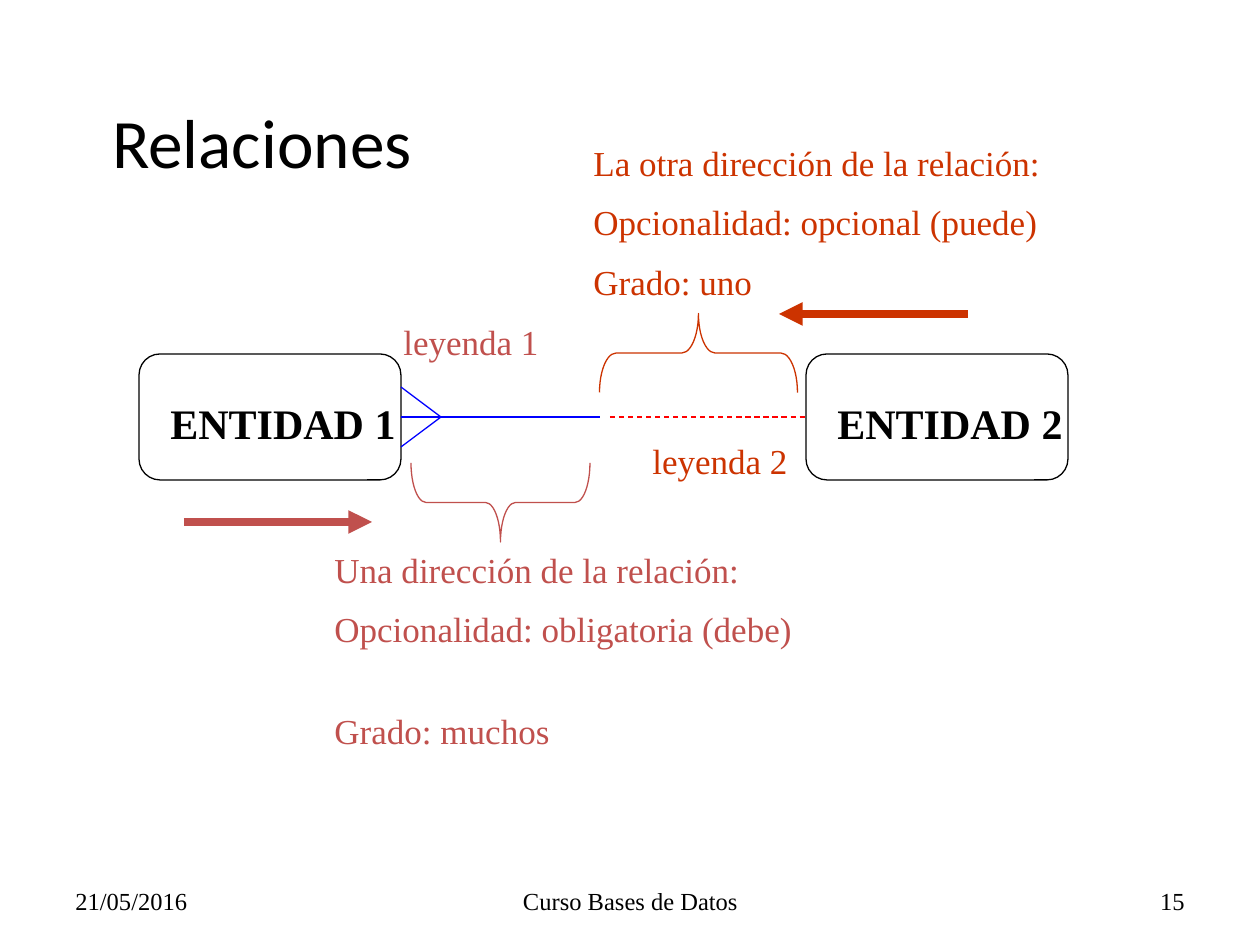
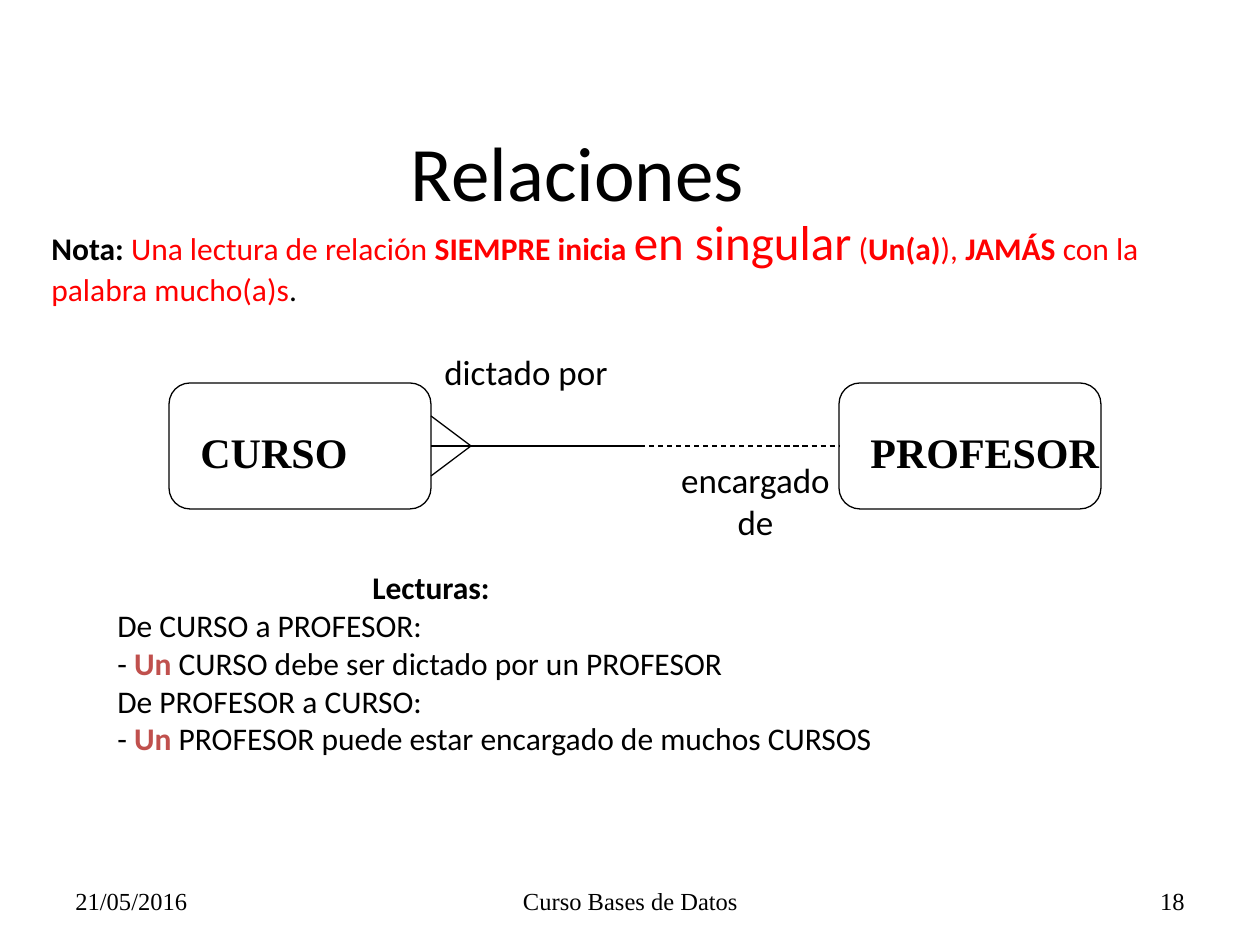
from dataclasses import dataclass
from lxml.etree import SubElement
from pptx import Presentation
from pptx.dml.color import RGBColor
from pptx.enum.dml import MSO_LINE
from pptx.enum.shapes import MSO_CONNECTOR, MSO_SHAPE
from pptx.enum.text import MSO_ANCHOR, MSO_AUTO_SIZE, PP_ALIGN
from pptx.oxml.ns import qn
from pptx.util import Pt

PX = 914400 // 126  # one px in EMU


@dataclass(frozen=True)
class Theme:
    sans: str = "Calibri"
    serif: str = "Times New Roman"
    black: str = "000000"
    blue: str = "0000FF"
    red: str = "FF0000"
    rose: str = "C0504D"
    rust: str = "CC3300"
    foot: int = 14
    note: int = 18
    text: int = 20
    name: int = 24
    big: int = 28
    thin: float = 0.75
    thick: float = 4.5
    gap: int = 10   # space between stacked lines
    wide: int = 34  # space before a line set apart


T = Theme()
LEFT, MID, RIGHT = PP_ALIGN.LEFT, PP_ALIGN.CENTER, PP_ALIGN.RIGHT

# Content: a line is a string or a list of (text, style) runs
BOLD = {"bold": True}
RED = {"color": T.red}
HOT = {**RED, **BOLD}
KEY = {"color": T.rose, **BOLD}

DATE, COURSE = "21/05/2016", "Curso Bases de Datos"

ONE_WAY = ["Una dirección de la relación:",
           "Opcionalidad: obligatoria (debe)",
           "Grado: muchos"]
OTHER_WAY = ["La otra dirección de la relación:",
             "Opcionalidad: opcional (puede)",
             "Grado: uno"]

NOTE = [[("Nota: ", BOLD),
         ("Una lectura de relación ", RED),
         ("SIEMPRE inicia ", HOT),
         ("en singular", {**RED, "size": T.big}),
         (" (", RED), ("Un(a)", HOT), ("), ", RED), ("JAMÁS ", HOT),
         ("con la palabra mucho(a)s", RED), (".", {})]]

READINGS = [[("Lecturas:", BOLD)],
            "De CURSO a PROFESOR:",
            [("- ", {}), ("Un", KEY),
             (" CURSO debe ser dictado por un PROFESOR", {})],
            "De PROFESOR a CURSO:",
            [("- ", {}), ("Un", KEY),
             (" PROFESOR puede estar encargado de muchos CURSOS", {})]]

# Entity names, left edges, top, where the solid half ends and the dashed
# half starts, and the colours of both halves
PLAIN = {"names": ("ENTIDAD 1", "ENTIDAD 2"), "lefts": (139, 806), "top": 354,
         "halves": (600, 610), "colors": (T.blue, T.red)}
CLASS = {"names": ("CURSO", "PROFESOR"), "lefts": (169, 839), "top": 383,
         "halves": (640, 640), "colors": (T.black, T.black)}


def px(*vals):
    return [val * PX for val in vals]


def rgb(code):
    return RGBColor.from_string(code)


# Text
def style(font, face, size, color=T.black, bold=False):
    font.name, font.size, font.bold = face, Pt(size), bold
    font.color.rgb = rgb(color)


def fill(frame, lines, face, size, color=T.black, bold=False, align=LEFT, gap=0):
    base = {"face": face, "size": size, "color": color, "bold": bold}
    for i, line in enumerate(lines):
        para = frame.add_paragraph() if i else frame.paragraphs[0]
        para.alignment = align
        para.space_before = Pt(gap if i else 0)
        for text, extra in [(line, {})] if isinstance(line, str) else line:
            run = para.add_run()
            run.text = text
            style(run.font, **{**base, **extra})


def write(slide, box, lines, face, size, anchor=MSO_ANCHOR.TOP, **look):
    frame = slide.shapes.add_textbox(*px(*box)).text_frame
    frame.word_wrap = True
    frame.vertical_anchor = anchor
    fill(frame, lines, face, size, **look)
    return frame


# Lines and shapes
def link(slide, ends, color, width=T.thin, dash=False, arrow=False):
    line = slide.shapes.add_connector(MSO_CONNECTOR.STRAIGHT, *px(*ends))
    line.line.color.rgb = rgb(color)
    line.line.width = Pt(width)
    if dash:
        line.line.dash_style = MSO_LINE.DASH
    props = line._element.spPr
    if arrow:
        SubElement(props.find(qn("a:ln")), qn("a:tailEnd"), type="triangle")
    SubElement(props, qn("a:effectLst"))
    return line


def outline(slide, kind, box, color):
    shape = slide.shapes.add_shape(kind, *px(*box))
    shape.shadow.inherit = False
    shape.fill.background()
    shape.line.color.rgb = rgb(color)
    shape.line.width = Pt(T.thin)
    return shape


def brace(slide, box, turn, curve, color):
    shape = outline(slide, MSO_SHAPE.RIGHT_BRACE, box, color)
    shape.rotation = turn
    shape.adjustments[0] = curve


def entity(slide, name, left, top):
    shape = outline(slide, MSO_SHAPE.ROUNDED_RECTANGLE,
                    (left, top, 262, 126), T.black)
    # the label needs more width than the rounded corners leave inside
    write(slide, (left + 19, top + 37, 262, 63), [name], T.serif, T.name,
          bold=True)
    return shape


def relate(slide, names, lefts, top, halves, colors):
    one, two = [entity(slide, name, left, top)
                for name, left in zip(names, lefts)]
    edge, mid = lefts[0] + 262, top + 63
    solid = link(slide, (edge, mid, halves[0], mid), colors[0])
    solid.begin_connect(one, 3)
    dashed = link(slide, (halves[1], mid, lefts[1], mid), colors[1], dash=True)
    dashed.end_connect(two, 1)
    for side in (-30, 30):  # crow's foot
        link(slide, (edge, mid + side, edge + 40, mid), colors[0])


# Title and footer common to both slides
def start(deck, box, size, page):
    slide = deck.slides.add_slide(deck.slide_layouts[5])
    title = slide.shapes.title
    title.left, title.top, title.width, title.height = px(*box)
    frame = title.text_frame
    frame.text = "Relaciones"
    frame.auto_size = MSO_AUTO_SIZE.NONE
    frame.vertical_anchor = MSO_ANCHOR.MIDDLE
    para = frame.paragraphs[0]
    para.alignment = MID
    style(para.runs[0].font, T.sans, size)
    for text, left, width, align in ((DATE, 63, 294, LEFT),
                                     (COURSE, 431, 399, MID),
                                     (page, 903, 294, RIGHT)):
        write(slide, (left, 876, width, 50), [text], T.serif, T.foot,
              anchor=MSO_ANCHOR.MIDDLE, align=align)
    return slide


def parts(deck):
    slide = start(deck, (7, 98, 510, 86), 39.6, "15")
    relate(slide, **PLAIN)
    brace(slide, (461, 413, 79, 179), 90, 0.19, T.rose)
    brace(slide, (659, 254, 79, 198), 270, 0.21, T.rust)
    for box, lines, color in (((322, 542, 486, 180), ONE_WAY, T.rose),
                              ((391, 314, 199, 54), ["leyenda 1"], T.rose),
                              ((640, 433, 199, 54), ["leyenda 2"], T.rust),
                              ((581, 135, 496, 180), OTHER_WAY, T.rust)):
        frame = write(slide, box, lines, T.serif, T.text, color=color, gap=T.gap)
        if lines is ONE_WAY:
            frame.paragraphs[-1].space_before = Pt(T.wide)
    for ends, color in (((968, 314, 779, 314), T.rust),
                        ((184, 522, 372, 522), T.rose)):
        link(slide, ends, color, T.thick, arrow=True)


def example(deck):
    slide = start(deck, (42, 92, 1071, 158), 44, "18")
    relate(slide, **CLASS)
    write(slide, (432, 344, 199, 54), ["dictado por"], T.sans, T.text)
    write(slide, (656, 452, 199, 97), ["encargado de"], T.sans, T.text, align=MID)
    frame = write(slide, (105, 562, 1085, 267), READINGS, T.sans, T.note)
    head = frame.paragraphs[0]._p.get_or_add_pPr()
    head.set("marL", str(255 * PX))
    write(slide, (39, 205, 1181, 123), NOTE, T.sans, T.note)


def main():
    deck = Presentation()
    deck.slide_width, deck.slide_height = px(1260, 945)
    parts(deck)
    example(deck)
    deck.save("out.pptx")


if __name__ == "__main__":
    main()
